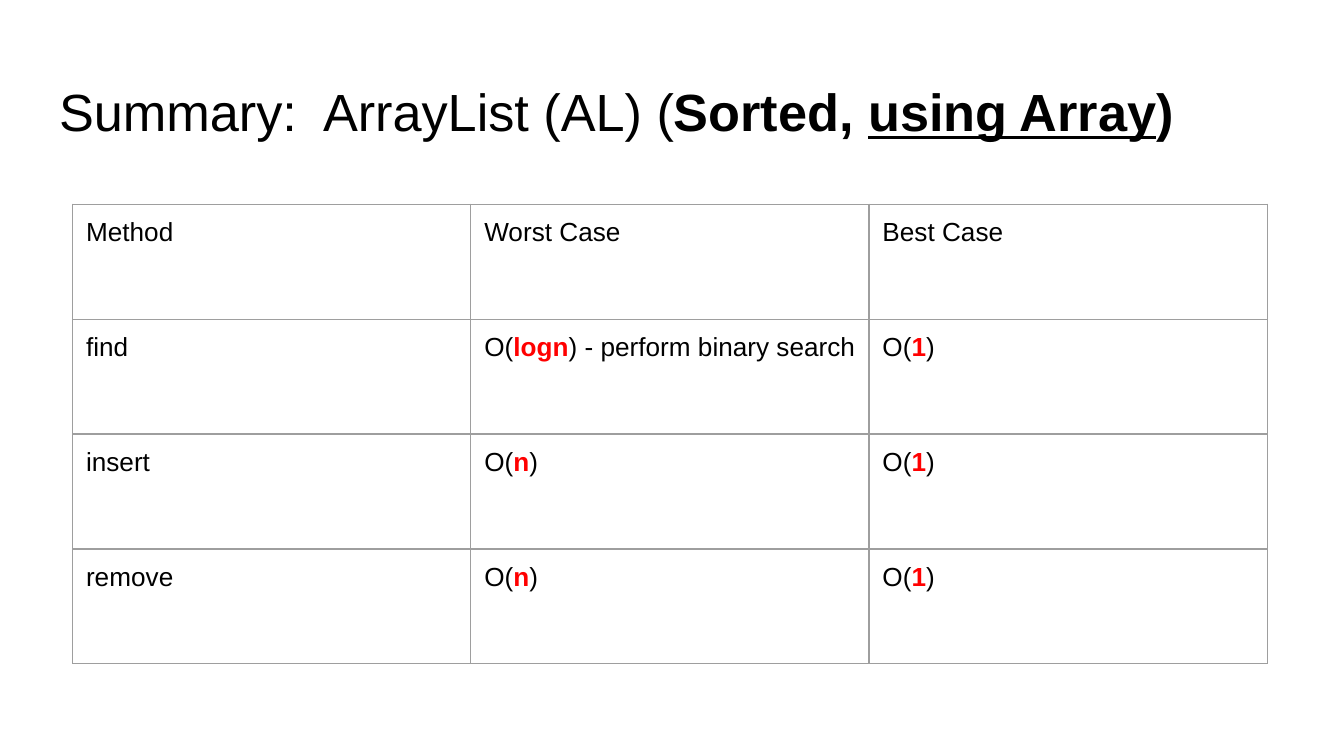
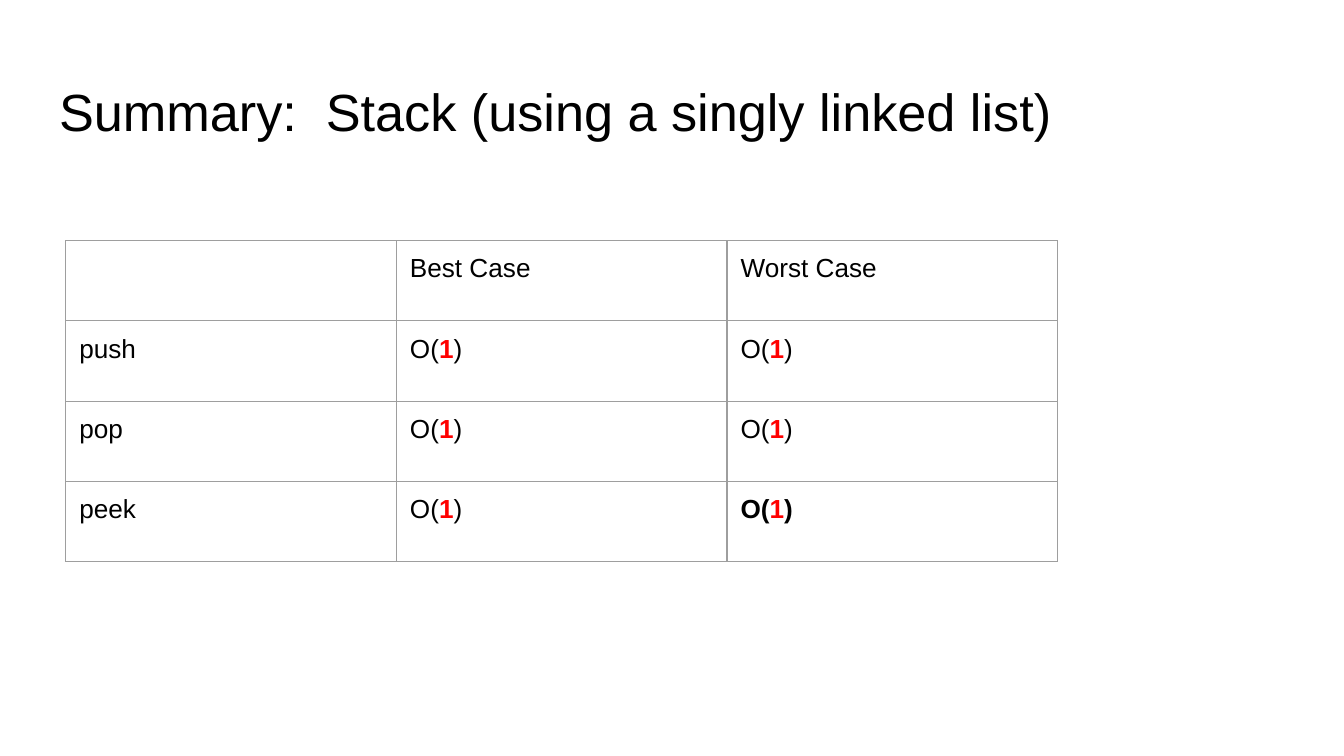
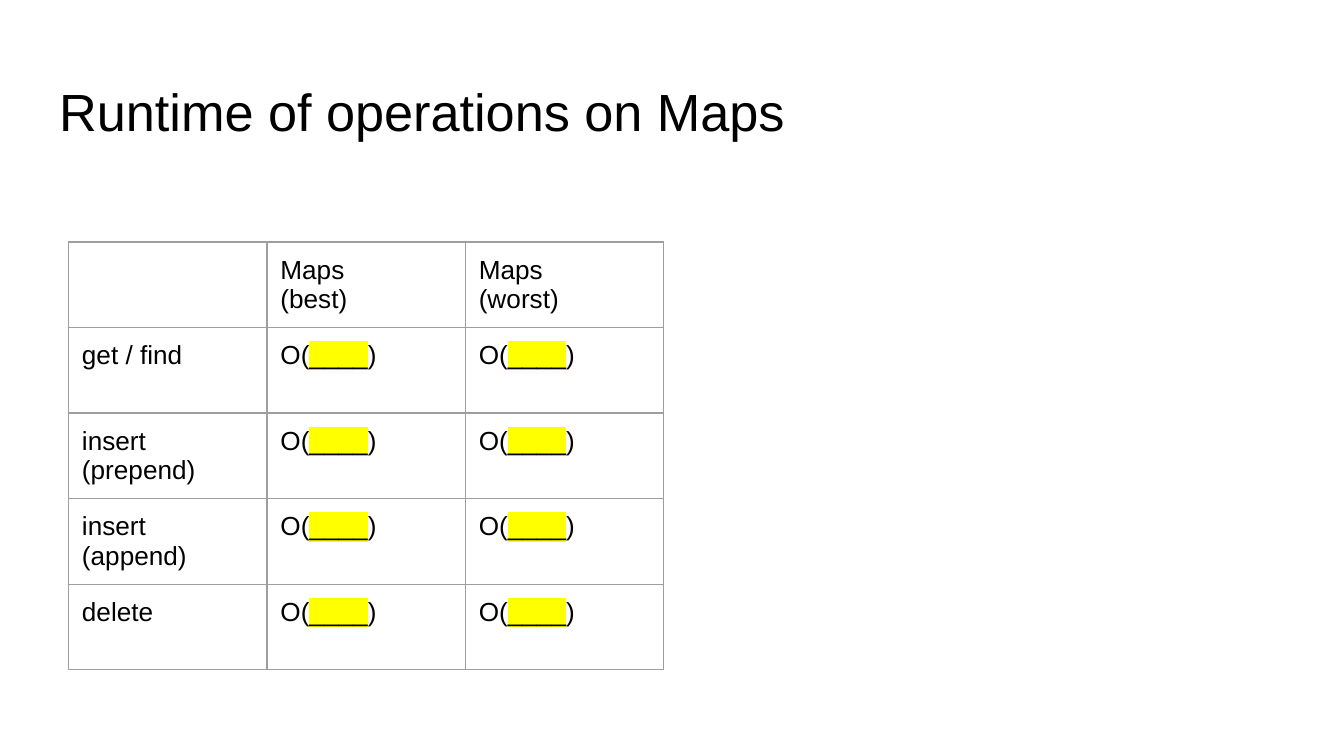
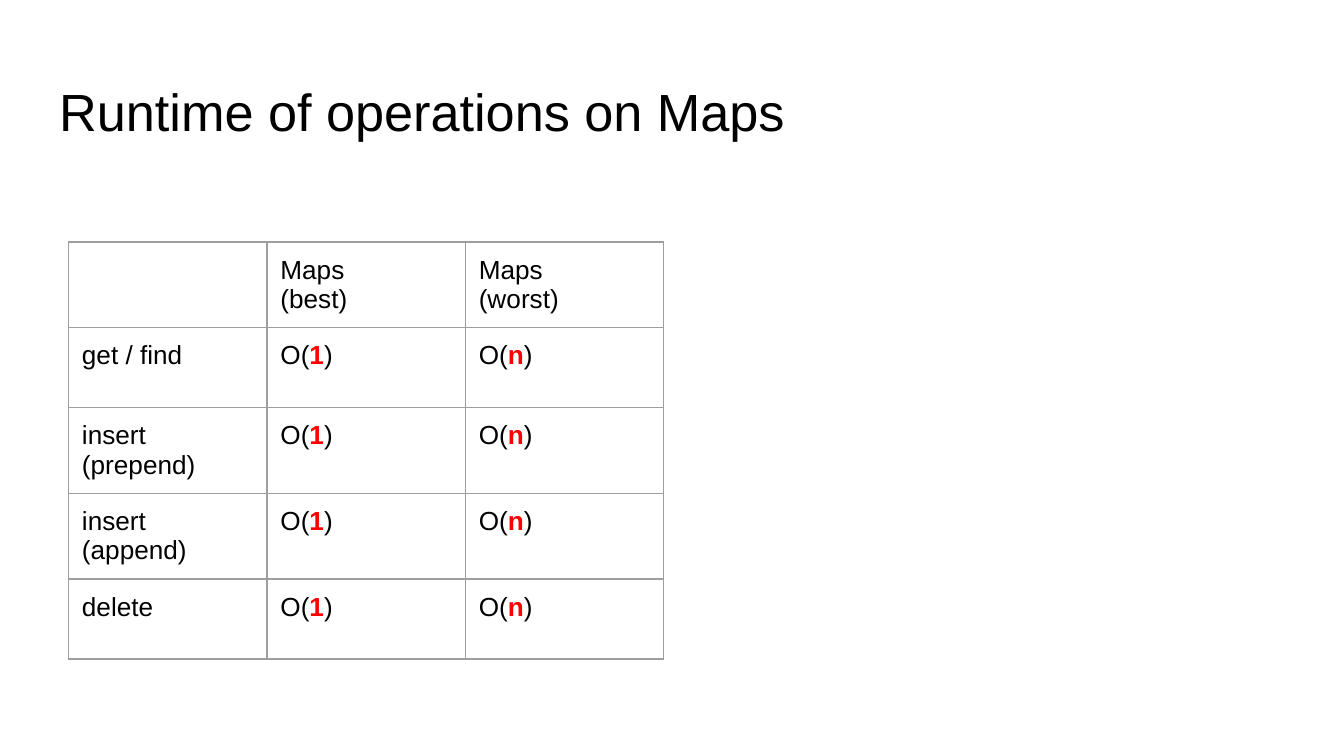
"""Build four slides that summarise the runtimes of data structure operations."""
from dataclasses import dataclass

from lxml.etree import SubElement
from pptx import Presentation
from pptx.dml.color import RGBColor
from pptx.enum.text import MSO_ANCHOR, PP_ALIGN
from pptx.oxml.ns import qn
from pptx.util import Inches, Pt


@dataclass(frozen=True)
class Theme:
    """Colours, fonts and sizes shared by all slides."""
    font: str = "Arial"
    title_size: float = 28
    cell_size: float = 14
    ink: str = "000000"
    answer: str = "FF0000"
    blank: str = "FFFF00"
    border: str = "9E9E9E"
    border_width: float = 0.75
    inset: float = 0.1


@dataclass(frozen=True)
class Span:
    """A stretch of text with one look."""
    text: str
    bold: bool = False
    underline: bool = False
    color: str | None = None
    highlight: str | None = None


Line = tuple[Span, ...]
Cell = str | Line


@dataclass(frozen=True)
class RuntimeSlide:
    """A title with an evenly divided table of runtimes below it."""
    title: Line
    left: float
    top: float
    width: float
    height: float
    cells: list[tuple[Cell, ...]]


THEME = Theme()


def big_o(answer: str, bold: bool = False, note: str = "") -> Line:
    """Return O(answer) with the answer in bold red."""
    return (Span("O(", bold), Span(answer, True, color=THEME.answer),
            Span(")" + note, bold))


def as_lines(cell: Cell) -> list[Line]:
    """Split plain text into lines and keep styled text as one line."""
    if isinstance(cell, str):
        return [(Span(text),) for text in cell.split("\n")]
    return [cell]


def write(tf, lines: list[Line], size: float) -> None:
    """Fill a text frame with styled lines."""
    for i, line in enumerate(lines):
        p = tf.paragraphs[0] if i == 0 else tf.add_paragraph()
        p.alignment = PP_ALIGN.LEFT
        p.font.name = THEME.font
        p.font.size = Pt(size)
        p.font.color.rgb = RGBColor.from_string(THEME.ink)
        for span in line:
            if not span.text:
                continue
            r = p.add_run()
            r.text = span.text
            if span.bold:
                r.font.bold = True
            if span.underline:
                r.font.underline = True
            if span.color:
                r.font.color.rgb = RGBColor.from_string(span.color)
            if span.highlight:
                mark = SubElement(r.font._element, qn("a:highlight"))
                SubElement(mark, qn("a:srgbClr"), val=span.highlight)


def set_insets(target) -> None:
    """Give a cell or text frame equal insets on all sides."""
    for side in ("left", "top", "right", "bottom"):
        setattr(target, f"margin_{side}", Inches(THEME.inset))


def set_borders(cell) -> None:
    """Draw a thin line on each side of a cell."""
    tc_pr = cell._tc.get_or_add_tcPr()
    for side in ("lnL", "lnR", "lnT", "lnB"):
        ln = SubElement(tc_pr, qn(f"a:{side}"), w=str(Pt(THEME.border_width)))
        fill = SubElement(ln, qn("a:solidFill"))
        SubElement(fill, qn("a:srgbClr"), val=THEME.border)


def add_title(s, title: Line) -> None:
    """Place and fill the title placeholder."""
    sp = s.shapes.title
    sp.left, sp.top = Inches(0.34), Inches(0.49)
    sp.width, sp.height = Inches(9.32), Inches(0.63)
    tf = sp.text_frame
    tf.word_wrap = True
    tf.vertical_anchor = MSO_ANCHOR.TOP
    set_insets(tf)
    write(tf, [title], THEME.title_size)


def add_runtime_table(s, spec: RuntimeSlide) -> None:
    """Add the table with its borders and text."""
    table = s.shapes.add_table(
        len(spec.cells), len(spec.cells[0]), Inches(spec.left),
        Inches(spec.top), Inches(spec.width), Inches(spec.height)).table
    table.first_row = table.horz_banding = False
    for row, values in zip(table.rows, spec.cells):
        for cell, value in zip(row.cells, values):
            set_insets(cell)
            set_borders(cell)
            cell.fill.background()
            write(cell.text_frame, as_lines(value), THEME.cell_size)


def maps_slide(best: Line, worst: Line, height: float) -> RuntimeSlide:
    """Describe a Maps slide whose operations all share their runtimes."""
    operations = ("get / find", "insert (prepend)", "insert (append)", "delete")
    return RuntimeSlide(
        (Span("Runtime of operations on Maps"),), 0.51, 1.8, 4.43, height,
        [("", "Maps\n(best)", "Maps\n(worst)"),
         *((operation, best, worst) for operation in operations)])


def build_slides() -> list[RuntimeSlide]:
    """Return the slides in order."""
    one, linear = big_o("1"), big_o("n")
    blank = (Span("O("), Span("____", highlight=THEME.blank), Span(")"))
    return [
        RuntimeSlide(
            (Span("Summary:  ArrayList (AL) ("), Span("Sorted, ", True),
             Span("using Array", True, True), Span(")", True)),
            0.54, 1.52, 8.89, 3.42,
            [("Method", "Worst Case", "Best Case"),
             ("find", big_o("logn", note=" - perform binary search"), one),
             ("insert", linear, one),
             ("remove", linear, one)]),
        RuntimeSlide(
            (Span("Summary:  Stack (using a singly linked list)"),),
            0.49, 1.79, 7.38, 2.39,
            [("", "Best Case", "Worst Case"),
             ("push", one, one),
             ("pop", one, one),
             ("peek", one, big_o("1", bold=True))]),
        maps_slide(blank, blank, 3.18),
        maps_slide(one, linear, 2.98),
    ]


def main() -> None:
    """Build and save the presentation."""
    prs = Presentation()
    prs.slide_width = Inches(10)
    prs.slide_height = prs.slide_width * 9 // 16
    for spec in build_slides():
        s = prs.slides.add_slide(prs.slide_layouts[5])
        add_title(s, spec.title)
        add_runtime_table(s, spec)
    prs.save("out.pptx")


if __name__ == "__main__":
    main()
